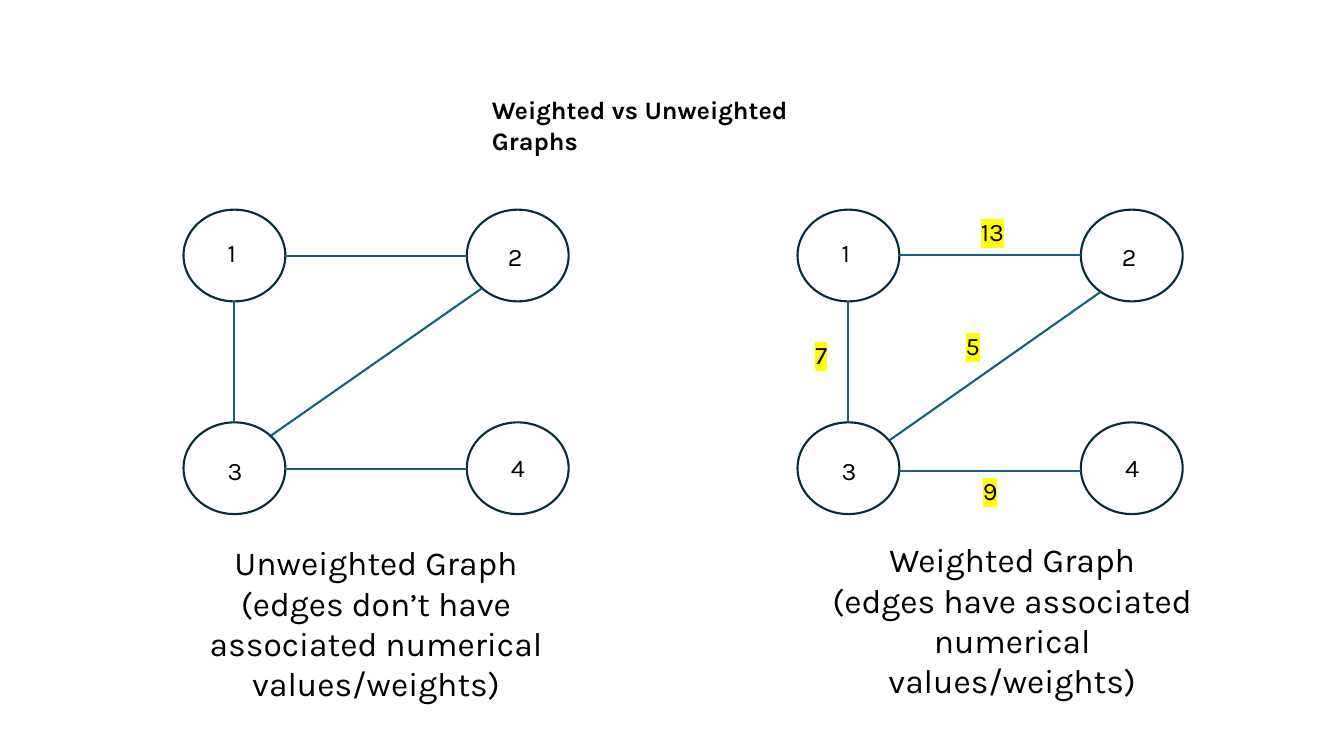
from lxml import etree
from pptx import Presentation, util as u
from pptx.dml.color import RGBColor
from pptx.enum import shapes, text
from pptx.oxml.ns import qn

NODE_W, NODE_H = 1.01, 0.91
COL_GAP, ROW_GAP = 2.81, 2.11
LABEL_W, LABEL_H = 0.34, 0.4
# Label offsets inside the four circles, row by row
NODE_LABELS = [("1", 0.34, 0.23), ("2", 0.31, 0.26),
               ("3", 0.34, 0.28), ("4", 0.34, 0.25)]


def rgb(hex_color):
    return RGBColor.from_string(hex_color)


def inches(*values):
    return [u.Inches(v) for v in values]


def add_text(s, box, lines, size=18, bold=None, wrap=False, align=None, highlight=None):
    tf = s.shapes.add_textbox(*inches(*box)).text_frame
    tf.word_wrap = wrap
    tf.auto_size = text.MSO_AUTO_SIZE.SHAPE_TO_FIT_TEXT
    tf.text = lines
    for p in tf.paragraphs:
        p.alignment = align
        for r in p.runs:
            r.font.size, r.font.bold, r.font.name = u.Pt(size), bold, "Karla"
            r.font.color.rgb = rgb("000000")
            if highlight:
                mark = etree.Element(qn("a:highlight"))
                etree.SubElement(mark, qn("a:srgbClr"), val=highlight)
                r.font._element.find(qn("a:solidFill")).addnext(mark)


def add_node(s, left, top):
    sp = s.shapes.add_shape(shapes.MSO_SHAPE.OVAL, *inches(left, top, NODE_W, NODE_H))
    sp.shadow.inherit = False
    sp.fill.background()
    sp.line.color.rgb = rgb("092A39")
    sp.line.width = u.Pt(1.5)


def add_edge(s, x1, y1, x2, y2):
    edge = s.shapes.add_connector(shapes.MSO_CONNECTOR.STRAIGHT, *inches(x1, y1, x2, y2))
    edge.line.color.rgb = rgb("156082")
    edge.line.width = u.Pt(1.5)
    etree.SubElement(edge._element.spPr, qn("a:effectLst"))


def add_graph(s, left, top, row_edges, diagonal, weights=()):
    """Four nodes in a 2 x 2 grid; all offsets count from (left, top)."""
    # Nodes and their numbers
    for i, (name, dx, dy) in enumerate(NODE_LABELS):
        x, y = left + i % 2 * COL_GAP, top + i // 2 * ROW_GAP
        add_node(s, x, y)
        add_text(s, (x + dx, y + dy, LABEL_W, LABEL_H), name)

    # Edges: two rows, the left column and the diagonal
    edges = [(NODE_W, y, COL_GAP, y) for y in row_edges]
    edges += [(NODE_W / 2, NODE_H, NODE_W / 2, ROW_GAP), diagonal]
    for x1, y1, x2, y2 in edges:
        add_edge(s, left + x1, top + y1, left + x2, top + y2)

    # Weights
    for value, dx, dy, width in weights:
        add_text(s, (left + dx, top + dy, width, LABEL_H), value, highlight="FFFF00")


def add_caption(s, box, lines):
    add_text(s, box, lines, size=24, wrap=True, align=text.PP_ALIGN.CENTER)


def main():
    prs = Presentation()
    prs.slide_width, prs.slide_height = inches(13.33, 7.5)
    s = prs.slides.add_slide(prs.slide_layouts[6])

    # Title
    add_text(s, (4.78, 0.89, 3.89, 0.4), "Weighted vs Unweighted Graphs",
             bold=True, wrap=True)

    # Unweighted graph
    add_graph(s, 1.82, 2.08, (0.46, 2.57), (0.87, 2.24, 2.96, 0.78))
    add_caption(s, (1.6, 5.33, 4.26, 1.72),
                "Unweighted Graph\n(edges don’t have associated numerical values/weights)")

    # Weighted graph
    add_graph(s, 7.91, 2.08, (0.45, 2.59), (0.91, 2.29, 3.0, 0.82),
              [("13", 1.72, 0.02, 0.47), ("7", 0.08, 1.24, LABEL_W),
               ("5", 1.57, 1.15, LABEL_W), ("9", 1.74, 2.59, LABEL_W)])
    add_caption(s, (7.91, 5.3, 4.26, 1.31),
                "Weighted Graph\n(edges have associated numerical values/weights)")

    prs.save("out.pptx")


if __name__ == "__main__":
    main()
